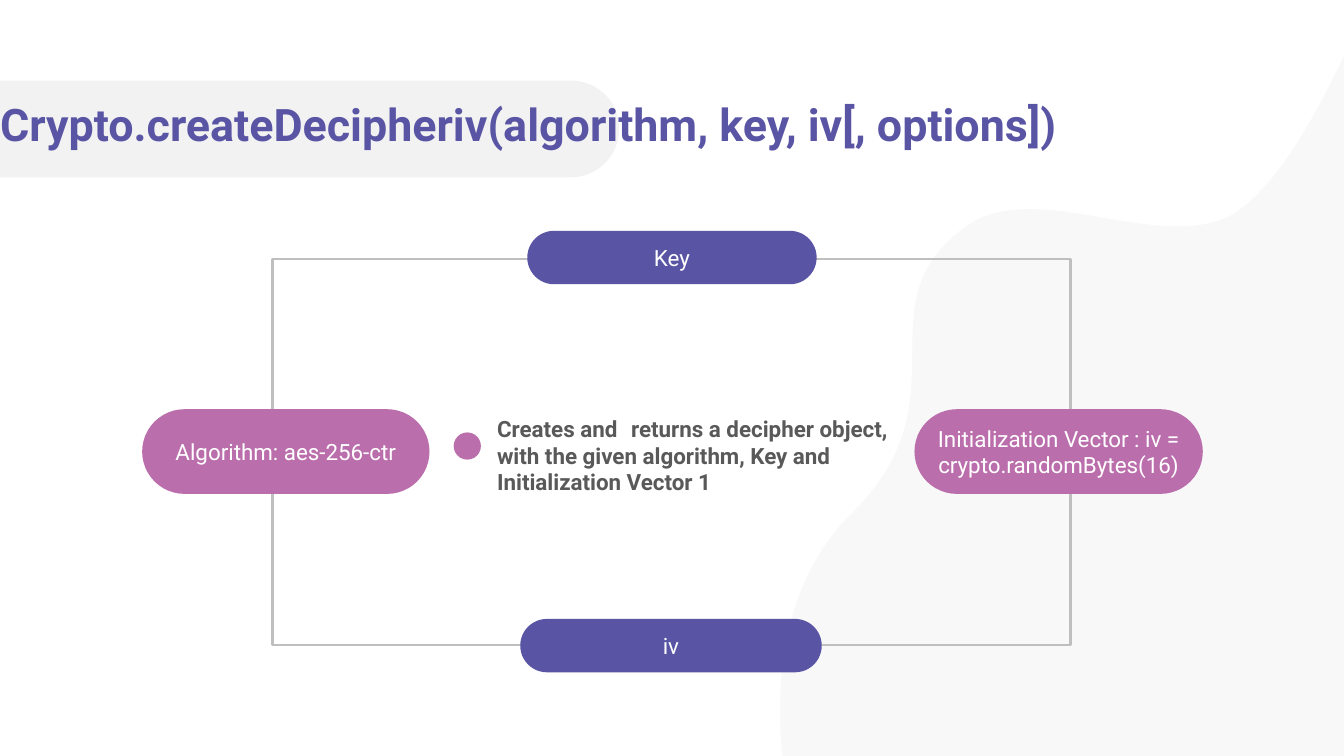
from lxml import etree
from pptx import Presentation
from pptx.dml.color import RGBColor
from pptx.enum.shapes import MSO_SHAPE
from pptx.enum.text import MSO_ANCHOR, MSO_AUTO_SIZE, PP_ALIGN
from pptx.oxml.ns import qn
from pptx.util import Pt

RECT, PILL, DOT = MSO_SHAPE.RECTANGLE, MSO_SHAPE.ROUNDED_RECTANGLE, MSO_SHAPE.FLOWCHART_CONNECTOR
LEFT, CENTER = PP_ALIGN.LEFT, PP_ALIGN.CENTER
MIDDLE, FIXED = MSO_ANCHOR.MIDDLE, MSO_AUTO_SIZE.NONE

# Content: boxes are left, top, width, height in px, 100 px to the inch
PX = 9144
FONT = "Roboto"
PURPLE, PINK, WHITE = "5955A4", "BB6EAC", "FFFFFF"
PALE, LINE_GRAY, TEXT_GRAY = "F2F2F2", "BFBFBF", "595959"

TITLE = ("Crypto.createDecipheriv(algorithm, key, iv[, options])", (0, 76, 1218, 94))
DESCRIPTION = ("Creates and\treturns a decipher object, with the given algorithm, "
               "Key and Initialization Vector 1", (493, 411, 425, 81))
TAB_PX = 133
FRAME = (270, 257, 792, 383)
BULLET = (450, 429, 27, 27)
PILLS = [
    ("Key", PURPLE, (523, 229, 287, 53)),
    ("iv", PURPLE, (516, 614, 299, 53)),
    ("Algorithm: aes-256-ctr", PINK, (141, 406, 285, 84)),
    ("Initialization Vector : iv = crypto.randomBytes(16)", PINK, (907, 406, 286, 84)),
]
# Outlines: one pair is a corner, three pairs are a Bézier curve
WAVE = [((1333, 55),),
        ((1307, 111), (1266, 187), (1222, 213)),
        ((1150, 252), (1027, 176), (959, 224)),
        ((850, 301), (962, 396), (843, 511)),
        ((774, 581), (769, 681), (776, 750)),
        ((1333, 750),)]
TITLE_BAR = [((0, 80),), ((566, 80),),
             ((593, 80), (614, 101), (614, 128)),
             ((614, 154), (593, 176), (566, 176)),
             ((0, 176),)]


def color(hex_code):
    return RGBColor.from_string(hex_code)


def emu(box):
    return [v * PX for v in box]


def paint(sp, fill):
    sp.shadow.inherit = False
    sp.fill.solid()
    sp.fill.fore_color.rgb = color(fill)
    sp.line.fill.background()
    return sp


def add_outline(s, segments, fill):
    points = [point for seg in segments for point in seg]
    builder = s.shapes.build_freeform(*points[0], scale=PX)
    builder.add_line_segments(points[1:], close=True)
    sp = builder.convert_to_shape()
    # Join each run of three lines into one curve
    lines = iter(list(sp.element.iter(qn("a:lnTo"))))
    for seg in segments[1:]:
        steps = [next(lines) for _ in seg]
        if len(steps) == 3:
            curve = etree.Element(qn("a:cubicBezTo"))
            steps[0].addprevious(curve)
            for step in steps:
                curve.append(step[0])
                step.getparent().remove(step)
    return paint(sp, fill)


def write(sp, text, size, hex_code, bold=False, align=LEFT, insets=None):
    tf = sp.text_frame
    tf.word_wrap = True
    tf.auto_size = FIXED
    tf.vertical_anchor = MIDDLE
    if insets:
        tf.margin_left, tf.margin_top, tf.margin_right, tf.margin_bottom = emu(insets)
    p = tf.paragraphs[0]
    p.alignment = align
    r = p.add_run()
    r.text = text
    r.font.name, r.font.size, r.font.bold = FONT, Pt(size), bold
    r.font.color.rgb = color(hex_code)
    return p


def main():
    prs = Presentation()
    prs.slide_width, prs.slide_height = emu((1333, 750))
    s = prs.slides.add_slide(prs.slide_layouts[5])

    # Background wave and title bar
    wave = add_outline(s, WAVE, PALE)
    srgb = wave.element.spPr.find(qn("a:solidFill")).find(qn("a:srgbClr"))
    etree.SubElement(srgb, qn("a:alpha")).set("val", "50000")
    add_outline(s, TITLE_BAR, PALE)

    # Frame and the pills on its sides
    frame = s.shapes.add_shape(RECT, *emu(FRAME))
    frame.shadow.inherit = False
    frame.fill.background()
    frame.line.color.rgb = color(LINE_GRAY)
    frame.line.width = Pt(2)
    for text, fill, box in PILLS:
        pill = paint(s.shapes.add_shape(PILL, *emu(box)), fill)
        pill.adjustments[0] = 0.5
        write(pill, text, 16, WHITE, align=CENTER)

    # Description with its dot
    paint(s.shapes.add_shape(DOT, *emu(BULLET)), PINK)
    text, box = DESCRIPTION
    p = write(s.shapes.add_textbox(*emu(box)), text, 16, TEXT_GRAY, True, insets=(0, 0, 0, 0))
    p._p.get_or_add_pPr().set("defTabSz", str(TAB_PX * PX))

    # Title, in front of its bar
    text, box = TITLE
    title = s.shapes.title
    title.left, title.top, title.width, title.height = emu(box)
    p = write(title, text, 32, PURPLE, True, insets=(0, 7, 0, 7))
    p.space_before = Pt(8)
    s.shapes.element.append(title.element)

    prs.save("out.pptx")


if __name__ == "__main__":
    main()
